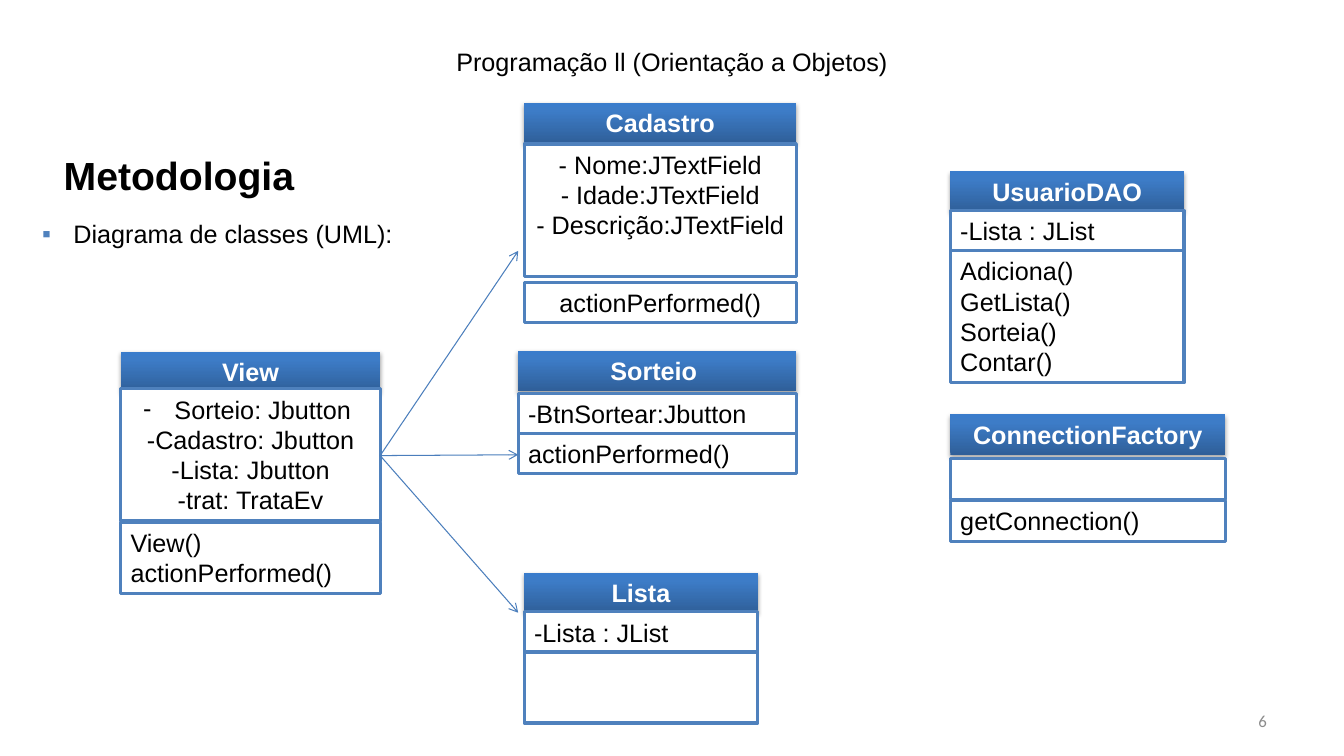
from lxml.etree import SubElement
from copy import deepcopy
from pptx import Presentation
from pptx.dml.color import RGBColor
from pptx.enum.shapes import MSO_CONNECTOR as LINK, MSO_SHAPE as SHAPE
from pptx.enum.text import MSO_ANCHOR as ANCHOR, PP_ALIGN as ALIGN
from pptx.oxml.ns import qn
from pptx.util import Cm, Pt

paint = RGBColor.from_string
BLUE = "4F81BD"
INDENT = Cm(0.79)
ROW, PADDING = 0.77, 0.25
BODY = {"name": "Arial", "size": Pt(18), "bold": False}
HEADER = {**BODY, "bold": True}
HEADING = {**HEADER, "size": Pt(28)}
NUMBER = {**BODY, "name": "Calibri", "size": Pt(12)}


def write(box, lines, align, style, color="000000", anchor=ANCHOR.TOP):
    frame = box.text_frame
    for name, value in {"word_wrap": True, "vertical_anchor": anchor}.items():
        setattr(frame, name, value)
    for index, line in enumerate(lines):
        paragraph = frame.add_paragraph() if index else frame.paragraphs[0]
        paragraph.alignment = align
        run = paragraph.add_run()
        run.text = line
        run.font.color.rgb = paint(color)
        for name, value in style.items():
            setattr(run.font, name, value)
    return frame


def add_bullet(paragraph, symbol, color):
    properties = paragraph._p.get_or_add_pPr()
    properties.set("marL", str(INDENT))
    properties.set("indent", str(-INDENT))
    tint = SubElement(properties, qn("a:buClr"))
    SubElement(tint, qn("a:srgbClr"), val=color)
    SubElement(properties, qn("a:buFont"), typeface="Arial")
    SubElement(properties, qn("a:buChar"), char=symbol)


deck = Presentation()
deck.slide_width, deck.slide_height = Cm(33.87), Cm(19.05)
slide = deck.slides.add_slide(deck.slide_layouts[6])
shapes = slide.shapes

page_number = shapes.add_textbox(Cm(24.28), Cm(17.65), Cm(7.9), Cm(1.02))
write(page_number, ["6"], ALIGN.RIGHT, NUMBER, "8C8C8C", ANCHOR.MIDDLE)

course = shapes.add_textbox(0, Cm(0.28), deck.slide_width, Cm(2.64))
write(course, ["Programação ll (Orientação a Objetos)"], ALIGN.CENTER, BODY).margin_top = Cm(0.89)

heading = shapes.add_textbox(Cm(0.81), Cm(3.68), Cm(7.4), Cm(1.45))
write(heading, ["Metodologia"], ALIGN.CENTER, HEADING)

topic = shapes.add_textbox(Cm(0.81), Cm(5.23), Cm(9.86), Cm(1.17))
topic_line = write(topic, ["Diagrama de classes (UML):"], ALIGN.LEFT, BODY).paragraphs[0]
topic_line.line_spacing = 1.2
add_bullet(topic_line, "▪", BLUE)

classes = [
    ("Cadastro", 13.21, 2.59, 6.86, [
        (3.63, 4, ALIGN.CENTER, ["- Nome:JTextField", "- Idade:JTextField", "- Descrição:JTextField"]),
        (7.11, 1, ALIGN.CENTER, ["actionPerformed()"])]),
    ("View", 3.04, 8.86, 6.55, [
        (9.8, 4, ALIGN.CENTER, ["Sorteio: Jbutton ", "-Cadastro: Jbutton", "-Lista: Jbutton", "-trat: TrataEv"]),
        (13.16, 2, ALIGN.LEFT, ["View()", "actionPerformed()"])]),
    ("Lista", 13.21, 14.43, 5.89, [
        (15.42, 1, ALIGN.LEFT, ["-Lista : JList"]),
        (16.43, 2, ALIGN.LEFT, [])]),
    ("Sorteio ", 13.06, 8.84, 7.01, [
        (9.91, 1, ALIGN.LEFT, ["-BtnSortear:Jbutton"]),
        (10.92, 1, ALIGN.LEFT, ["actionPerformed()"])]),
    ("UsuarioDAO", 23.95, 4.32, 5.89, [
        (5.31, 1, ALIGN.LEFT, ["-Lista : JList"]),
        (6.32, 4, ALIGN.LEFT, ["Adiciona()", "GetLista()", "Sorteia()", "Contar()"])]),
    ("ConnectionFactory", 23.95, 10.44, 6.93, [
        (11.56, 1, ALIGN.LEFT, []),
        (12.62, 1, ALIGN.LEFT, ["getConnection()"])]),
]

attributes = {}
for class_name, left, top, width, sections in classes:
    header = shapes.add_shape(SHAPE.RECTANGLE, Cm(left), Cm(top), Cm(width), Cm(ROW + PADDING))
    header.line.fill.background()
    header.fill.gradient()
    header.fill.gradient_angle = 90
    last_stop = header.fill.gradient_stops[1]._gs
    last_stop.addnext(deepcopy(last_stop))
    for stop, (position, color) in zip(
            header.fill.gradient_stops, [(0, "2F5F99"), (0.8, "3D7CC7"), (1, "3A7CCB")]):
        stop.position = position
        stop.color.rgb = paint(color)
    header.shadow.inherit = False
    effects = header._element.spPr.find(qn("a:effectLst"))
    shadow = SubElement(effects, qn("a:outerShdw"), blurRad=str(Pt(3.1)), dist=str(Pt(1.8)),
                        dir="5400000", rotWithShape="0")
    shade = SubElement(shadow, qn("a:srgbClr"), val="000000")
    SubElement(shade, qn("a:alpha"), val="35000")
    write(header, [class_name], ALIGN.CENTER, HEADER, "FFFFFF")

    for section_top, rows, align, members in sections:
        section = shapes.add_shape(SHAPE.RECTANGLE, Cm(left), Cm(section_top),
                                   Cm(width), Cm(rows * ROW + PADDING))
        section.shadow.inherit = False
        section.fill.solid()
        section.fill.fore_color.rgb = paint("FFFFFF")
        section.line.color.rgb = paint(BLUE)
        section.line.width = Pt(2.25)
        frame = write(section, members, align, BODY)
        attributes.setdefault(class_name, frame)

add_bullet(attributes["View"].paragraphs[0], "-", "000000")

for target_y in (11.46, 6.32, 15.44):
    arrow = shapes.add_connector(LINK.STRAIGHT, Cm(9.58), Cm(11.48), Cm(13.06), Cm(target_y))
    arrow.line.color.rgb = paint("4B7EBC")
    arrow.line.width = Pt(0.75)
    SubElement(arrow.line._get_or_add_ln(), qn("a:tailEnd"), type="arrow")
    SubElement(arrow._element.spPr, qn("a:effectLst"))

deck.save("out.pptx")
